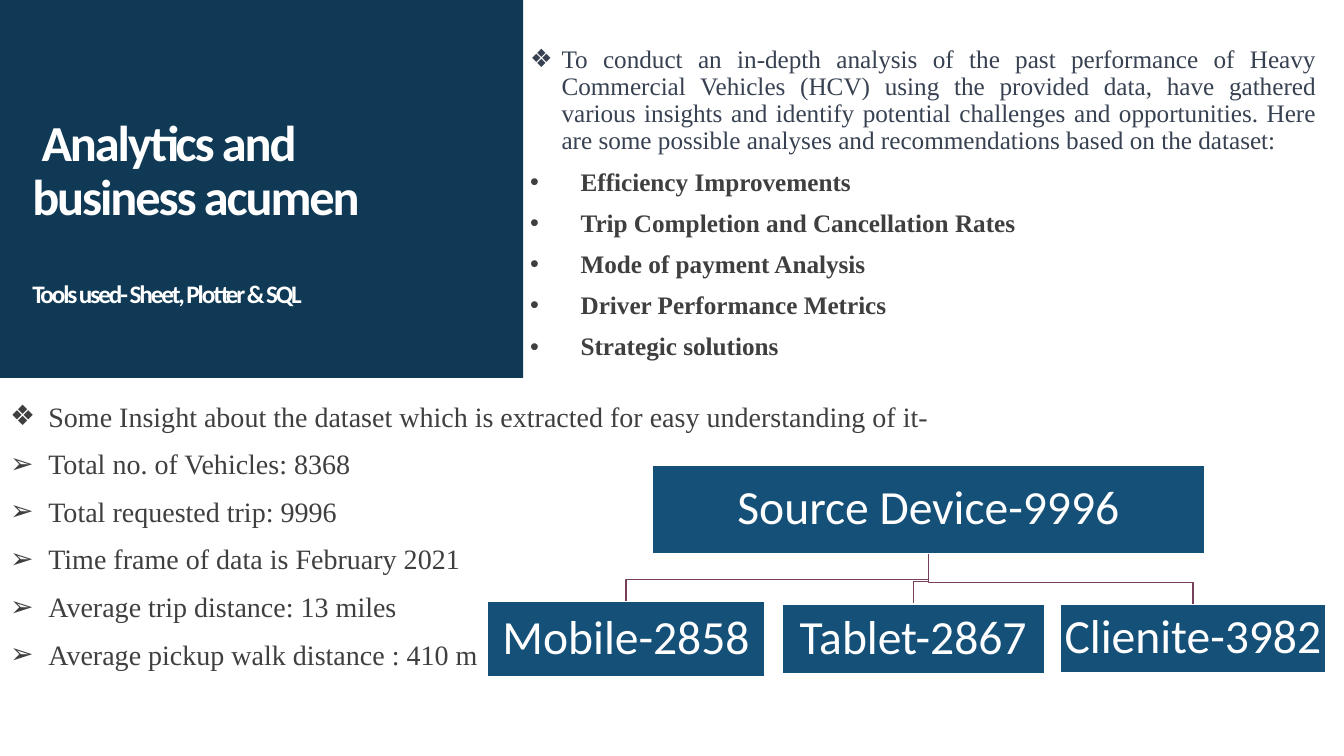
from dataclasses import dataclass

from lxml.etree import SubElement
from pptx import Presentation
from pptx.dml.color import RGBColor
from pptx.enum.shapes import MSO_SHAPE
from pptx.enum.text import MSO_ANCHOR, PP_ALIGN
from pptx.oxml.ns import qn
from pptx.shapes.autoshape import Shape
from pptx.slide import Slide
from pptx.text.text import TextFrame, _Paragraph
from pptx.util import Inches, Length, Pt

SLIDE_WIDTH, SLIDE_HEIGHT = Inches(13.333), Inches(7.5)


@dataclass(frozen=True)
class Theme:
    panel: str = "0F3955"
    node: str = "155078"
    branch: str = "773F5B"
    white: str = "FFFFFF"
    intro: str = "374151"
    body: str = "3F3F3F"
    heading_font: str = "Calibri"
    body_font: str = "Times New Roman"
    title_size: float = 36
    small_size: float = 18
    insight_size: float = 20
    node_size: float = 34


THEME = Theme()


@dataclass(frozen=True)
class Box:
    """A rectangle in percent of the slide's width and height."""
    left: float
    top: float
    width: float
    height: float

    @property
    def center(self) -> float:
        return self.left + self.width / 2

    @property
    def bottom(self) -> float:
        return self.top + self.height

    def lengths(self) -> tuple[Length, Length, Length, Length]:
        return across(self.left), down(self.top), across(self.width), down(self.height)


@dataclass(frozen=True)
class Bullet:
    text: str
    mark: str
    indent: float
    size: float
    color: str = THEME.body
    bold: bool = False
    justified: bool = False
    line_spacing: float = 1.0


@dataclass(frozen=True)
class Node:
    text: str
    box: Box


PANEL = Box(0, 0, 38.93, 50)
TITLE = Box(2.4, 14.93, 31.28, 28.53)
ANALYSES = Box(39.45, 6.13, 59.25, 42.4)
INSIGHTS = Box(0.75, 52.8, 69.15, 47.2)
BRANCH_RISE = 2.93

INTRO = Bullet(
    "To conduct an in-depth analysis of the past performance of Heavy Commercial Vehicles (HCV) "
    "using the provided data, have gathered various insights and identify potential challenges "
    "and opportunities. Here are some possible analyses and recommendations based on the dataset:",
    "❖", 2.33, THEME.small_size, THEME.intro, justified=True, line_spacing=0.9)
ANALYSIS_BULLETS = [INTRO] + [
    Bullet(text, "•", 3.75, THEME.small_size, bold=True, line_spacing=0.9)
    for text in ("Efficiency Improvements", "Trip Completion and Cancellation Rates",
                 "Mode of payment Analysis", "Driver Performance Metrics", "Strategic solutions")]
INSIGHT_BULLETS = [
    Bullet(text, mark, 2.85, THEME.insight_size) for mark, text in (
        ("❖", "Some Insight about the dataset which is extracted for easy understanding of it-"),
        ("➢", "Total no. of Vehicles: 8368"),
        ("➢", "Total requested trip: 9996"),
        ("➢", "Time frame of data is February 2021"),
        ("➢", "Average trip distance: 13 miles"),
        ("➢", "Average pickup walk distance : 410 m"))]

ROOT = Node("Source Device-9996", Box(48.53, 61.6, 41.1, 11.6))
DEVICES = (Node("Mobile-2858", Box(36.23, 79.6, 20.7, 9.87)),
           Node("Tablet-2867", Box(58.2, 79.87, 19.5, 9.2)),
           Node("Clienite-3982", Box(78.9, 80, 19.73, 8.93)))


def across(percent: float) -> Length:
    return Length(round(SLIDE_WIDTH * percent / 100))


def down(percent: float) -> Length:
    return Length(round(SLIDE_HEIGHT * percent / 100))


def format_runs(paragraph: _Paragraph, font: str, size: float, color: str,
                bold: bool = False) -> None:
    for run in paragraph.runs:
        run.font.name = font
        run.font.size = Pt(size)
        run.font.bold = bold
        run.font.color.rgb = RGBColor.from_string(color)


def add_rectangle(slide: Slide, box: Box, fill: str) -> Shape:
    shape = slide.shapes.add_shape(MSO_SHAPE.RECTANGLE, *box.lengths())
    shape.shadow.inherit = False
    shape.fill.solid()
    shape.fill.fore_color.rgb = RGBColor.from_string(fill)
    shape.line.fill.background()
    return shape


def add_text_frame(slide: Slide, box: Box, top_inset: float) -> TextFrame:
    text_frame = slide.shapes.add_textbox(*box.lengths()).text_frame
    text_frame.word_wrap = True
    text_frame.margin_left = 0
    text_frame.margin_top = Inches(top_inset)
    return text_frame


def add_title(slide: Slide) -> None:
    text_frame = add_text_frame(slide, TITLE, 0.05)
    text_frame.text = " Analytics and business acumen\nTools used- Sheet, Plotter & SQL"
    heading, tools = text_frame.paragraphs
    tools.space_before = Pt(THEME.title_size * 1.1)
    for paragraph, size in ((heading, THEME.title_size), (tools, THEME.small_size)):
        paragraph.line_spacing = 0.9
        format_runs(paragraph, THEME.heading_font, size, THEME.white, bold=True)
        for run in paragraph.runs:
            run.font._element.set("spc", "-150")


def set_bullet(paragraph: _Paragraph, mark: str, indent: Length) -> None:
    properties = paragraph._p.get_or_add_pPr()
    properties.set("marL", str(indent))
    properties.set("indent", str(-indent))
    SubElement(properties, qn("a:buFont"), typeface="Arial")
    SubElement(properties, qn("a:buChar"), char=mark)


def add_bullets(slide: Slide, box: Box, bullets: list[Bullet]) -> None:
    text_frame = add_text_frame(slide, box, 0)
    text_frame.text = "\n".join(bullet.text for bullet in bullets)
    for index, (paragraph, bullet) in enumerate(zip(text_frame.paragraphs, bullets)):
        paragraph.alignment = PP_ALIGN.JUSTIFY if bullet.justified else PP_ALIGN.LEFT
        paragraph.line_spacing = bullet.line_spacing
        paragraph.space_before = Pt(10 if index else 0)
        set_bullet(paragraph, bullet.mark, across(bullet.indent))
        format_runs(paragraph, THEME.body_font, bullet.size, bullet.color, bullet.bold)


def add_branch(slide: Slide, parent: Box, child: Box) -> None:
    """Draw the elbow line from the parent's bottom to the child's top."""
    bend = child.top - BRANCH_RISE
    corners = ((parent.center, bend), (child.center, bend), (child.center, child.top))
    builder = slide.shapes.build_freeform(across(parent.center), down(parent.bottom))
    builder.add_line_segments([(across(x), down(y)) for x, y in corners], close=False)
    branch = builder.convert_to_shape()
    branch.shadow.inherit = False
    branch.fill.background()
    branch.line.color.rgb = RGBColor.from_string(THEME.branch)
    branch.line.width = Pt(1)


def add_node(slide: Slide, node: Node) -> None:
    shape = add_rectangle(slide, node.box, THEME.node)
    shape.line.color.rgb = RGBColor.from_string(THEME.white)
    shape.line.width = Pt(1)
    text_frame = shape.text_frame
    text_frame.text = node.text
    text_frame.word_wrap = False
    text_frame.vertical_anchor = MSO_ANCHOR.MIDDLE
    text_frame.margin_left = text_frame.margin_right = Inches(0.02)
    text_frame.margin_top = text_frame.margin_bottom = Inches(0.02)
    paragraph = text_frame.paragraphs[0]
    paragraph.alignment = PP_ALIGN.CENTER
    paragraph.line_spacing = 0.9
    format_runs(paragraph, THEME.heading_font, THEME.node_size, THEME.white)


def main() -> None:
    presentation = Presentation()
    presentation.slide_width, presentation.slide_height = SLIDE_WIDTH, SLIDE_HEIGHT
    slide = presentation.slides.add_slide(presentation.slide_layouts[6])
    add_rectangle(slide, PANEL, THEME.panel)
    add_title(slide)
    add_bullets(slide, ANALYSES, ANALYSIS_BULLETS)
    add_bullets(slide, INSIGHTS, INSIGHT_BULLETS)
    for device in reversed(DEVICES):
        add_branch(slide, ROOT.box, device.box)
    for node in (ROOT, *DEVICES):
        add_node(slide, node)
    presentation.save("out.pptx")


if __name__ == "__main__":
    main()
